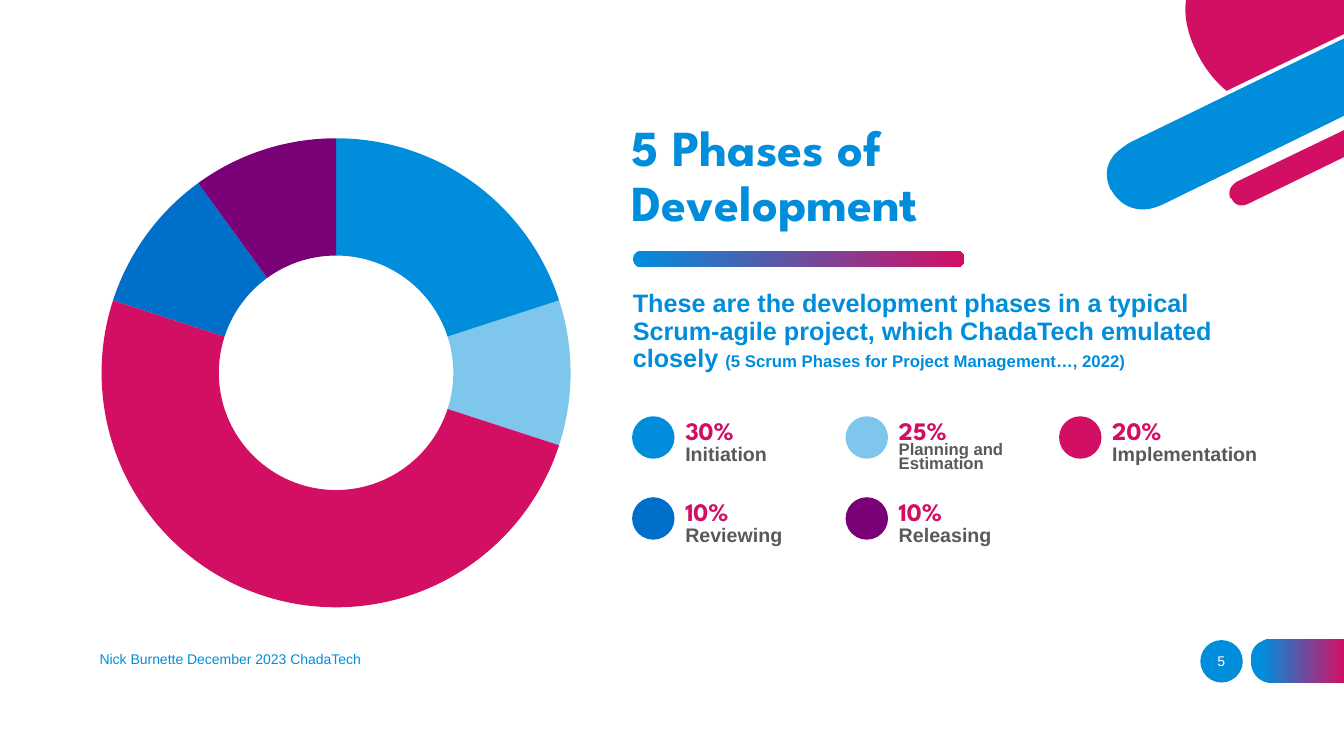
from lxml import etree
from pptx import Presentation
from pptx import util as u
from pptx.chart.data import CategoryChartData
from pptx.dml.color import RGBColor
from pptx.enum import chart, shapes, text
from pptx.oxml import ns

BLUE, CRIMSON, NAVY, PURPLE = "008EDC", "D30F64", "006FC9", "7A0078"
GREY, WHITE = "595959", "FFFFFF"
RIGHT = 33.87  # right edge of the slide, cm


def rgb(value):
    return RGBColor.from_string(value)


def bezier(p0, p1, p2, p3, steps=16):
    """Points along a cubic curve, without its start."""
    for i in range(1, steps + 1):
        t = i / steps
        weights = ((1 - t) ** 3, 3 * t * (1 - t) ** 2, 3 * t * t * (1 - t), t ** 3)
        yield tuple(sum(w * p[axis] for w, p in zip(weights, (p0, p1, p2, p3)))
                    for axis in (0, 1))


class PhaseSlide:
    body_font = "Arial"
    head_font = "League Spartan"

    def __init__(self, prs):
        self.s = prs.slides.add_slide(prs.slide_layouts[6])

    def solid(self, fill, color, alpha=100):
        fill.solid()
        fill.fore_color.rgb = rgb(color)
        if alpha < 100:
            clr = fill._xPr.find(".//" + ns.qn("a:srgbClr"))
            etree.SubElement(clr, ns.qn("a:alpha"), val=str(alpha * 1000))

    def finish(self, sp, color, alpha=100, blend_from=None):
        """Flat fill, or a blue-to-crimson blend starting at blend_from."""
        sp.shadow.inherit = False
        sp.line.fill.background()
        if blend_from is None:
            self.solid(sp.fill, color, alpha)
            return
        sp.fill.gradient()
        sp.fill.gradient_angle = 0
        stops = zip(sp.fill.gradient_stops, (BLUE, CRIMSON), (blend_from, 1))
        for stop, stop_color, position in stops:
            stop.color.rgb = rgb(stop_color)
            stop.position = position

    def dot(self, x, y, color, alpha=100):
        size = u.Cm(1.07)
        sp = self.s.shapes.add_shape(
            shapes.MSO_SHAPE.OVAL, u.Cm(x), u.Cm(y), size, size)
        self.finish(sp, color, alpha)

    def bar(self, x, y, w, h):
        sp = self.s.shapes.add_shape(
            shapes.MSO_SHAPE.ROUNDED_RECTANGLE, u.Cm(x), u.Cm(y), u.Cm(w), u.Cm(h))
        sp.adjustments[0] = 0.5
        self.finish(sp, None, blend_from=0)

    def outline(self, start, segments, color=None, blend_from=None):
        """Closed shape; a segment of 2 numbers is a line, of 6 a curve."""
        points = [start]
        for seg in segments:
            if len(seg) == 2:
                points.append(seg)
            else:
                points.extend(bezier(points[-1], seg[:2], seg[2:4], seg[4:]))
        emu = [(u.Cm(x), u.Cm(y)) for x, y in points]
        builder = self.s.shapes.build_freeform(*emu[0])
        builder.add_line_segments(emu[1:], close=True)
        self.finish(builder.convert_to_shape(), color, blend_from=blend_from)

    def label(self, x, y, w, h, runs, color, font=None, bold=True, spacing=None,
              anchor=text.MSO_ANCHOR.TOP, align=text.PP_ALIGN.LEFT):
        """Text box holding one paragraph of (words, size) runs."""
        tf = self.s.shapes.add_textbox(u.Cm(x), u.Cm(y), u.Cm(w), u.Cm(h)).text_frame
        tf.word_wrap = True
        tf.vertical_anchor = anchor
        p = tf.paragraphs[0]
        p.alignment = align
        if spacing:
            p.line_spacing = spacing
        for words, size in runs:
            r = p.add_run()
            r.text = words
            r.font.name = font or self.body_font
            r.font.size = u.Pt(size)
            r.font.bold = bold
            r.font.color.rgb = rgb(color)

    def doughnut(self, x, y, w, h, slices):
        data = CategoryChartData()
        data.categories = [str(i + 1) for i in range(len(slices))]
        data.add_series("Series 1", [value for value, _, _ in slices])
        ch = self.s.shapes.add_chart(
            chart.XL_CHART_TYPE.DOUGHNUT, u.Cm(x), u.Cm(y), u.Cm(w), u.Cm(h), data).chart
        ch.has_legend = False
        ch.has_title = False
        ch.font.name = self.body_font
        ch.font.size = u.Pt(10)
        ch.font.color.rgb = rgb("000000")
        plot = ch.plots[0]
        plot.vary_by_categories = True
        plot.has_data_labels = False
        plot._element.find(ns.qn("c:holeSize")).set("val", "52")
        for i, (_, color, alpha) in enumerate(slices):
            fmt = plot.series[0].points[i].format
            self.solid(fmt.fill, color, alpha)
            fmt.line.fill.background()

    def phase(self, x, y, percent, name, color, alpha, size, spacing):
        self.dot(x, y, color, alpha)
        self.label(x + 1.09, y - 0.15, 4.45, 1.02, [(percent, 18)], CRIMSON,
                   self.head_font, spacing=0.9, anchor=text.MSO_ANCHOR.BOTTOM)
        self.label(x + 1.09, y + 0.58, 4.45, 1.02, [(name, size)], GREY,
                   spacing=spacing)


def main():
    prs = Presentation()
    prs.slide_width, prs.slide_height = u.Cm(RIGHT), u.Cm(19.05)
    s = PhaseSlide(prs)

    # Corner decoration: circle part, wide band, narrow band
    s.outline((29.89, 0), [(29.83, 0.41, 29.93, 0.86, 30.16, 1.32), (30.2, 1.4),
                           (30.2, 1.4, 30.45, 1.92, 30.91, 2.29),
                           (RIGHT, 0.86), (RIGHT, 0)], CRIMSON)
    s.outline((29.29, 5.16), [(28.42, 5.56, 28.02, 4.83, 28.02, 4.8), (27.99, 4.78),
                              (27.84, 4.45, 27.86, 4.17, 28.09, 3.89),
                              (28.27, 3.71, 28.5, 3.58, 28.5, 3.58),
                              (RIGHT, 0.97), (RIGHT, 2.92)], BLUE)
    s.outline((31.47, 5.13), [(31.17, 5.28, 31.04, 5.03, 31.04, 5), (31.01, 5),
                              (30.89, 4.72, 31.19, 4.57, 31.19, 4.57),
                              (RIGHT, 3.28), (RIGHT, 3.96)], CRIMSON)

    # Doughnut of phases
    s.doughnut(2.21, 3.02, 12.52, 12.75,
               [(20, BLUE, 100), (10, BLUE, 50), (50, CRIMSON, 100),
                (10, NAVY, 100), (10, PURPLE, 100)])

    # Title, rule and introduction
    s.label(15.67, 4.09, 12.22, 1.88, [("5 Phases of Development", 36)], BLUE,
            s.head_font, spacing=0.9, anchor=text.MSO_ANCHOR.BOTTOM)
    s.bar(15.95, 6.32, 8.36, 0.42)
    s.label(15.7, 7.21, 15.65, 2.92,
            [("These are the development phases in a typical Scrum-agile project, "
              "which ChadaTech emulated closely ", 18),
             ("(5 Scrum Phases for Project Management…, 2022)", 12)],
            BLUE, spacing=0.9)

    # Legend in three columns
    phases = [("30%", "Initiation", BLUE, 100, 14, 0.9),
              ("25%", "Planning and Estimation", BLUE, 50, 11.9, 0.7),
              ("20%", "Implementation", CRIMSON, 100, 14, 0.9),
              ("10%", "Reviewing", NAVY, 100, 14, 0.9),
              ("10%", "Releasing", PURPLE, 100, 14, 0.9)]
    for i, phase in enumerate(phases):
        row, col = divmod(i, 3)
        s.phase(15.93 + 5.38 * col, 10.49 + 2.04 * row, *phase)

    # Footer and page number
    middle = text.MSO_ANCHOR.MIDDLE
    s.label(2.26, 16.1, 11.43, 1.02, [("Nick Burnette December 2023 ChadaTech", 10)],
            BLUE, bold=False, anchor=middle)
    s.outline((32.05, 17.2), [(RIGHT, 17.2), (RIGHT, 16.1), (32.05, 16.1),
                              (32.05, 16.1, 31.52, 16.1, 31.52, 16.63), (31.52, 16.66),
                              (31.52, 16.66, 31.52, 17.2, 32.05, 17.2)],
              blend_from=0.12)
    s.dot(30.25, 16.13, BLUE)
    s.label(30.02, 16.15, 1.52, 1.02, [("5", 10)], WHITE, bold=False,
            anchor=middle, align=text.PP_ALIGN.CENTER)

    prs.save("out.pptx")


if __name__ == "__main__":
    main()
